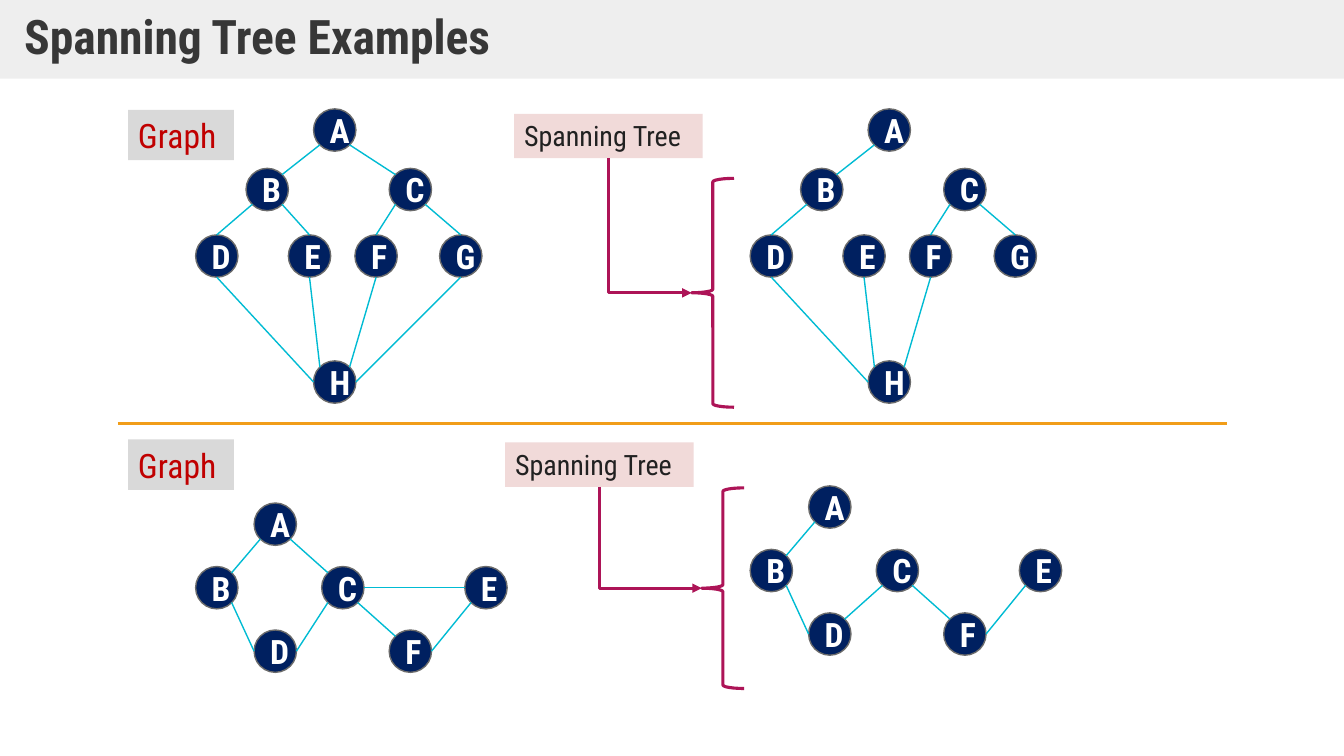
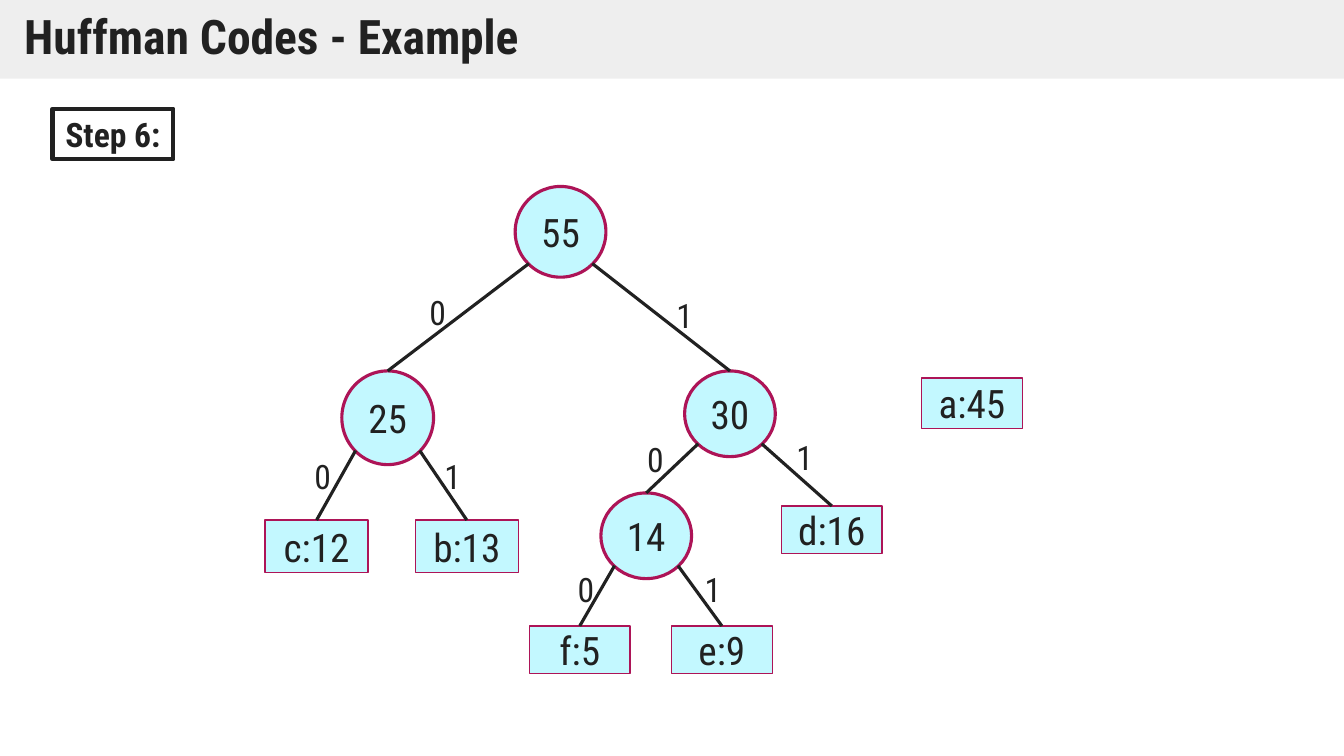
from dataclasses import dataclass
from typing import Any, Optional

import lxml.etree
import pptx
import pptx.dml.color
import pptx.enum.shapes
import pptx.enum.text
import pptx.oxml.ns
import pptx.util

Inches = pptx.util.Inches
ShapeType = pptx.enum.shapes.MSO_SHAPE
Connector = pptx.enum.shapes.MSO_CONNECTOR
Align = pptx.enum.text.PP_ALIGN
Anchor = pptx.enum.text.MSO_ANCHOR
qn = pptx.oxml.ns.qn

FONT = "Roboto Condensed"
COLORS = {
    "band": "DFDFDF", "title": "373737", "text": "212121", "white": "FFFFFF",
    "vertex": "002060", "outline": "6B6B6B", "edge": "00BBD3", "divider": "F19D19",
    "graph_fill": "D9D9D9", "graph_text": "C00000", "tree_fill": "F1DAD9",
    "accent": "AD1457", "code_fill": "C3F8FF",
}
DIAGONAL = 0.15
SIDES = {
    "N": (0.5, 0), "S": (0.5, 1), "W": (0, 0.5), "E": (1, 0.5),
    "NW": (DIAGONAL, DIAGONAL), "NE": (1 - DIAGONAL, DIAGONAL),
    "SW": (DIAGONAL, 1 - DIAGONAL), "SE": (1 - DIAGONAL, 1 - DIAGONAL),
}
VERTEX_SIZE = 0.42
TREE_SHIFT = 5.5


@dataclass(frozen=True)
class Box:
    left: float
    top: float
    width: float
    height: float


@dataclass(frozen=True)
class Style:
    size: float
    color: str
    fill: Optional[str] = None
    line: Optional[str] = None
    line_width: float = 1
    bold: bool = False
    align: Any = Align.CENTER
    anchor: Any = Anchor.MIDDLE


@dataclass(frozen=True)
class Edge:
    start: str
    start_side: str
    end: str
    end_side: str


@dataclass(frozen=True)
class Example:
    vertices: dict[str, tuple[float, float]]
    edges: list[Edge]
    tree_edges: list[Edge]
    tree_rise: float
    graph_label_top: float
    tree_label: Box
    brace: Box


@dataclass(frozen=True)
class CodeNode:
    text: str
    box: Box
    leaf: bool = False


VERTEX = Style(24, "white", "vertex", "outline", bold=True)
GRAPH_LABEL = Style(24, "graph_text", "graph_fill", align=Align.LEFT, anchor=Anchor.TOP)
TREE_LABEL = Style(20, "text", "tree_fill", align=Align.LEFT, anchor=Anchor.TOP)
BRACE = Style(18, "text", line="accent", line_width=2.25)
STEP = Style(24, "text", line="text", line_width=3, bold=True)
INNER_NODE = Style(28, "text", "code_fill", "accent", 2.25)
LEAF_NODE = Style(28, "text", "code_fill", "accent")
BIT = Style(24, "text", align=Align.LEFT, anchor=Anchor.TOP)


def parse_edges(text: str) -> list[Edge]:
    return [Edge(*edge.split("-")) for edge in text.split()]


LAYERED_TREE = "A-SW-B-NE B-SW-D-N C-SW-F-N C-SE-G-N D-S-H-W E-S-H-NW F-S-H-NE"
KITE_SHARED = "A-SW-B-NE B-SE-D-W C-SE-F-NW E-SW-F-E"
EXAMPLES = [
    Example(
        {"A": (3.11, 1.08), "B": (2.44, 1.67), "C": (3.86, 1.67), "D": (1.94, 2.33),
         "E": (2.86, 2.33), "F": (3.52, 2.33), "G": (4.36, 2.33), "H": (3.11, 3.58)},
        parse_edges(LAYERED_TREE + " A-SE-C-NW B-SE-E-N G-S-H-E"),
        parse_edges(LAYERED_TREE),
        0, 1.09, Box(5.1, 1.13, 1.87, 0.44), Box(6.86, 1.77, 0.42, 2.27),
    ),
    Example(
        {"A": (2.52, 4.99), "B": (1.94, 5.62), "C": (3.19, 5.62),
         "D": (2.52, 6.25), "E": (4.61, 5.62), "F": (3.86, 6.25)},
        parse_edges(KITE_SHARED + " A-SE-C-NW D-E-C-SW C-E-E-W"),
        parse_edges(KITE_SHARED + " D-NE-C-SW"),
        0.17, 4.36, Box(5.01, 4.39, 1.87, 0.44), Box(6.96, 4.84, 0.42, 1.99),
    ),
]
CODE_NODES = [
    CodeNode("55", Box(5.11, 1.85, 0.9, 0.9)),
    CodeNode("25", Box(3.39, 3.68, 0.91, 0.93)),
    CodeNode("30", Box(6.79, 3.68, 0.9, 0.85)),
    CodeNode("14", Box(5.96, 4.89, 0.9, 0.85)),
    CodeNode("a:45", Box(9.14, 3.75, 1, 0.5), True),
    CodeNode("c:12", Box(2.63, 5.16, 1.02, 0.52), True),
    CodeNode("b:13", Box(4.12, 5.16, 1.02, 0.52), True),
    CodeNode("d:16", Box(7.75, 5.02, 1, 0.47), True),
    CodeNode("f:5", Box(5.25, 6.21, 1, 0.47), True),
    CodeNode("e:9", Box(6.66, 6.21, 1, 0.47), True),
]
CODE_EDGES = parse_edges(
    "55-SW-25-N 55-SE-30-N 25-SW-c:12-N 25-SE-b:13-N "
    "30-SW-14-N 30-SE-d:16-N 14-SW-f:5-N 14-SE-e:9-N"
)
BIT_POSITIONS = {
    "0": [(4.16, 2.85), (3.02, 4.47), (6.32, 4.31), (5.63, 5.59)],
    "1": [(6.61, 2.88), (4.31, 4.47), (7.8, 4.29), (6.89, 5.59)],
}


def rgb(name: str) -> pptx.dml.color.RGBColor:
    return pptx.dml.color.RGBColor.from_string(COLORS[name])


def place(shape: Any, box: Box) -> None:
    shape.left, shape.top = Inches(box.left), Inches(box.top)
    shape.width, shape.height = Inches(box.width), Inches(box.height)


def write(shape: Any, text: str, style: Style) -> Any:
    frame = shape.text_frame
    frame.word_wrap = True
    frame.auto_size = pptx.enum.text.MSO_AUTO_SIZE.NONE
    frame.vertical_anchor = style.anchor
    paragraph = frame.paragraphs[0]
    paragraph.alignment = style.align
    run = paragraph.add_run()
    run.text = text
    run.font.name = FONT
    run.font.size = pptx.util.Pt(style.size)
    run.font.bold = style.bold
    run.font.color.rgb = rgb(style.color)
    return paragraph


def add_shape(slide: Any, kind: Any, box: Box, style: Style, text: str = "") -> Any:
    shape = slide.shapes.add_shape(kind, 0, 0, 0, 0)
    place(shape, box)
    shape.shadow.inherit = False
    if style.fill:
        shape.fill.solid()
        shape.fill.fore_color.rgb = rgb(style.fill)
    else:
        shape.fill.background()
    if style.line:
        shape.line.color.rgb = rgb(style.line)
        shape.line.width = pptx.util.Pt(style.line_width)
    else:
        shape.line.fill.background()
    if text:
        write(shape, text, style)
    return shape


def add_line(slide: Any, start: tuple[int, int], end: tuple[int, int], color: str,
             width: float, kind: Any = Connector.STRAIGHT) -> Any:
    connector = slide.shapes.add_connector(kind, *start, *end)
    connector.line.color.rgb = rgb(color)
    connector.line.width = pptx.util.Pt(width)
    lxml.etree.SubElement(connector.element.spPr, qn("a:effectLst"))
    return connector


def side_point(shape: Any, side: str) -> tuple[int, int]:
    across, down = SIDES[side]
    return round(shape.left + across * shape.width), round(shape.top + down * shape.height)


def add_edges(slide: Any, shapes: dict[str, Any], edges: list[Edge],
              color: str, width: float) -> None:
    for edge in edges:
        start, end = shapes[edge.start], shapes[edge.end]
        connector = add_line(slide, side_point(start, edge.start_side),
                             side_point(end, edge.end_side), color, width)
        if edge.end_side == "N":
            connector.end_connect(end, 0)


def add_bent_arrow(slide: Any, label: Any, brace: Any) -> None:
    start, end = side_point(label, "S"), side_point(brace, "W")
    connector = add_line(slide, start, end, "accent", 2.25, Connector.ELBOW)
    connector.begin_connect(label, 2)
    connector.end_connect(brace, 1)
    run, drop = end[0] - start[0], end[1] - start[1]
    connector.left = (start[0] + end[0] - drop) // 2
    connector.top = (start[1] + end[1] - run) // 2
    connector.width, connector.height = drop, run
    properties = connector.element.spPr
    transform = properties.find(qn("a:xfrm"))
    transform.set("rot", str(270 * 60000))
    transform.set("flipH", "1")
    properties.find(qn("a:prstGeom")).set("prst", "bentConnector2")
    lxml.etree.SubElement(properties.find(qn("a:ln")), qn("a:tailEnd"), type="triangle")


def add_titled_slide(presentation: Any, text: str, color: str) -> Any:
    slide = presentation.slides.add_slide(presentation.slide_layouts[5])
    title = slide.shapes.title
    place(title, Box(0, 0, 13.33, 0.78))
    title.fill.solid()
    title.fill.fore_color.rgb = rgb("band")
    fill_color = title.element.spPr.find(".//" + qn("a:srgbClr"))
    lxml.etree.SubElement(fill_color, qn("a:alpha"), val="50000")
    paragraph = write(title, text, Style(34, color, bold=True, align=Align.LEFT))
    paragraph.line_spacing = 0.9
    frame = title.text_frame
    frame.margin_left = frame.margin_right = Inches(0.24)
    frame.margin_top = frame.margin_bottom = Inches(0.12)
    return slide


def add_graph(slide: Any, vertices: dict[str, tuple[float, float]], edges: list[Edge],
              shift: float = 0, rise: float = 0) -> None:
    shapes = {
        name: add_shape(slide, ShapeType.OVAL,
                        Box(left + shift, top - rise, VERTEX_SIZE, VERTEX_SIZE), VERTEX, name)
        for name, (left, top) in vertices.items()
    }
    add_edges(slide, shapes, edges, "edge", 1)


def build_spanning_trees(presentation: Any) -> None:
    slide = add_titled_slide(presentation, "Spanning Tree Examples", "title")
    add_line(slide, (Inches(1.17), Inches(4.2)), (Inches(12.17), Inches(4.2)), "divider", 2.25)
    for example in EXAMPLES:
        add_graph(slide, example.vertices, example.edges)
        add_graph(slide, example.vertices, example.tree_edges, TREE_SHIFT, example.tree_rise)
        add_shape(slide, ShapeType.RECTANGLE, Box(1.27, example.graph_label_top, 1.05, 0.5),
                  GRAPH_LABEL, "Graph")
        label = add_shape(slide, ShapeType.RECTANGLE, example.tree_label,
                          TREE_LABEL, "Spanning Tree")
        brace = add_shape(slide, ShapeType.LEFT_BRACE, example.brace, BRACE)
        add_bent_arrow(slide, label, brace)


def build_huffman_codes(presentation: Any) -> None:
    slide = add_titled_slide(presentation, "Huffman Codes - Example", "text")
    add_shape(slide, ShapeType.RECTANGLE, Box(0.52, 1.08, 1.2, 0.5), STEP, "Step 6:")
    shapes = {}
    for node in CODE_NODES:
        kind, style = ((ShapeType.RECTANGLE, LEAF_NODE) if node.leaf
                       else (ShapeType.OVAL, INNER_NODE))
        shapes[node.text] = add_shape(slide, kind, node.box, style, node.text)
    add_edges(slide, shapes, CODE_EDGES, "text", 2.25)
    for bit, positions in BIT_POSITIONS.items():
        for left, top in positions:
            text_box = slide.shapes.add_textbox(Inches(left), Inches(top),
                                                Inches(0.4), Inches(0.5))
            write(text_box, bit, BIT)


def main() -> None:
    presentation = pptx.Presentation()
    presentation.slide_width, presentation.slide_height = Inches(13.33), Inches(7.5)
    build_spanning_trees(presentation)
    build_huffman_codes(presentation)
    presentation.save("out.pptx")


if __name__ == "__main__":
    main()
